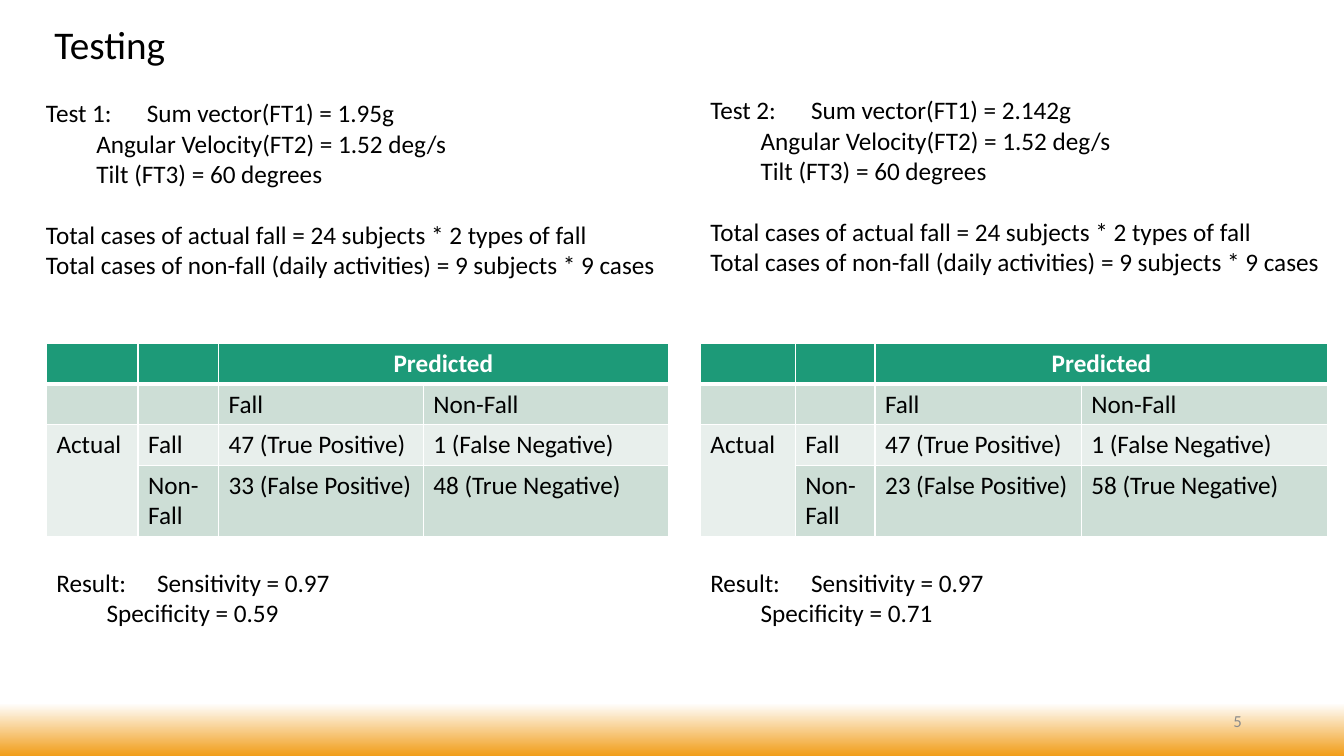
from lxml import etree
from pptx import Presentation
from pptx.dml.color import RGBColor
from pptx.enum.text import MSO_ANCHOR, PP_ALIGN
from pptx.oxml.ns import qn
from pptx.util import Cm, Pt

LEFT, CENTER, RIGHT = PP_ALIGN.LEFT, PP_ALIGN.CENTER, PP_ALIGN.RIGHT
TOP, MIDDLE = MSO_ANCHOR.TOP, MSO_ANCHOR.MIDDLE

FONT = "Calibri"
COLORS = {
    "text": "000000", "white": "FFFFFF", "number": "8C8C8C", "glow": "F19D19",
    "header": "1D9A78", "band_dark": "CDDED6", "band_light": "E8EFEC",
}
ROW_FILLS = ["header", "band_dark", "band_light", "band_dark"]
ROW_HEIGHTS = [1.02, 1.02, 1.02, 1.81]
TABLE_TOP, RESULT_TOP = 8.66, 14.17

CASES = [
    "Total cases of actual fall = 24 subjects * 2 types of fall",
    "Total cases of non-fall (daily activities) = 9 subjects * 9 cases",
]
# Lengths in cm
TESTS = [
    {
        "setup": ["Test 1:\tSum vector(FT1) = 1.95g",
                  "\tAngular Velocity(FT2) = 1.52 deg/s",
                  "\tTilt (FT3) = 60 degrees"],
        "setup_box": (0.91, 2.34, 15.9, 5.64),
        "false_positive": 33, "true_negative": 48,
        "table_left": 1.17, "columns": [2.31, 2.03, 5.16, 6.17],
        "result": ["Result:\tSensitivity = 0.97", "\tSpecificity = 0.59"],
        "result_left": 1.17,
    },
    {
        "setup": ["Test 2:\tSum vector(FT1) = 2.142g",
                  "\tAngular Velocity(FT2) = 1.52 deg/s",
                  "\tTilt (FT3) = 60 degrees"],
        "setup_box": (17.65, 2.26, 16.21, 6.4),
        "false_positive": 23, "true_negative": 58,
        "table_left": 17.65, "columns": [2.39, 2.01, 5.2, 6.22],
        "result": ["Result:\tSensitivity = 0.97", "\tSpecificity = 0.71"],
        "result_left": 17.65,
    },
]


def rgb(name):
    return RGBColor.from_string(COLORS[name])


def write(tf, lines, size=18, color="text", bold=False, align=LEFT,
          line_spacing=None, gap_before=None):
    """Fill a text frame; gap_before is the index of a line set off by one line."""
    for i, line in enumerate(lines):
        p = tf.paragraphs[0] if i == 0 else tf.add_paragraph()
        p.alignment = align
        if line_spacing:
            p.line_spacing = line_spacing
        if i == gap_before:
            p.space_before = Pt(22)
        r = p.add_run()
        r.text = line
        r.font.name, r.font.size, r.font.bold = FONT, Pt(size), bold
        r.font.color.rgb = rgb(color)


def add_text(s, box, lines, anchor=TOP, **fmt):
    tf = s.shapes.add_textbox(*map(Cm, box)).text_frame
    tf.word_wrap = True
    tf.vertical_anchor = anchor
    write(tf, lines, **fmt)


def set_borders(cell, top, bottom):
    """Draw white borders, with top and bottom widths in points."""
    tc_pr = cell._tc.get_or_add_tcPr()
    widths = {"a:lnL": 1, "a:lnR": 1, "a:lnT": top, "a:lnB": bottom}
    for i, (tag, width) in enumerate(widths.items()):
        ln = etree.Element(qn(tag), w=str(Pt(width)))
        fill = etree.SubElement(ln, qn("a:solidFill"))
        etree.SubElement(fill, qn("a:srgbClr"), val=COLORS["white"])
        tc_pr.insert(i, ln)


def add_confusion_table(s, test):
    rows = [
        ["", "", "Predicted", ""],
        ["", "", "Fall", "Non-Fall"],
        ["Actual", "Fall", "47 (True Positive)", "1 (False Negative)"],
        ["", "Non-Fall", f"{test['false_positive']} (False Positive)",
         f"{test['true_negative']} (True Negative)"],
    ]
    columns = test["columns"]
    frame = s.shapes.add_table(
        len(rows), len(columns), Cm(test["table_left"]), Cm(TABLE_TOP),
        Cm(sum(columns)), Cm(sum(ROW_HEIGHTS)))
    table = frame.table
    for column, width in zip(table.columns, columns):
        column.width = Cm(width)
    for i, (values, height, fill) in enumerate(zip(rows, ROW_HEIGHTS, ROW_FILLS)):
        table.rows[i].height = Cm(height)
        header = i == 0
        for j, value in enumerate(values):
            cell = table.cell(i, j)
            cell.fill.solid()
            cell.fill.fore_color.rgb = rgb(fill)
            set_borders(cell, top=3 if i == 1 else 1, bottom=3 if header else 1)
            if value:
                write(cell.text_frame, [value], bold=header,
                      color="white" if header else "text",
                      align=CENTER if header else LEFT)
    table.cell(0, 2).merge(table.cell(0, 3))
    table.cell(2, 0).merge(table.cell(3, 0))


def set_background(s):
    fill = s.background.fill
    fill.gradient()
    fill.gradient_angle = 270
    stops = zip(fill.gradient_stops, [(0.93, "white"), (1.0, "glow")])
    for stop, (position, color) in stops:
        stop.position = position
        stop.color.rgb = rgb(color)


def main():
    prs = Presentation()
    prs.slide_width, prs.slide_height = Cm(33.87), Cm(19.05)
    s = prs.slides.add_slide(prs.slide_layouts[6])
    set_background(s)
    add_text(s, (1.12, 0.53, 30.4, 1.3), ["Testing"], anchor=MIDDLE, size=28,
             line_spacing=0.9)
    for test in TESTS:
        add_text(s, test["setup_box"], test["setup"] + CASES,
                 gap_before=len(test["setup"]))
        add_confusion_table(s, test)
        add_text(s, (test["result_left"], RESULT_TOP, 15.01, 1.8), test["result"])
    add_text(s, (23.93, 17.65, 7.62, 1.02), ["5"], anchor=MIDDLE, size=12,
             color="number", align=RIGHT)
    prs.save("out.pptx")


if __name__ == "__main__":
    main()
